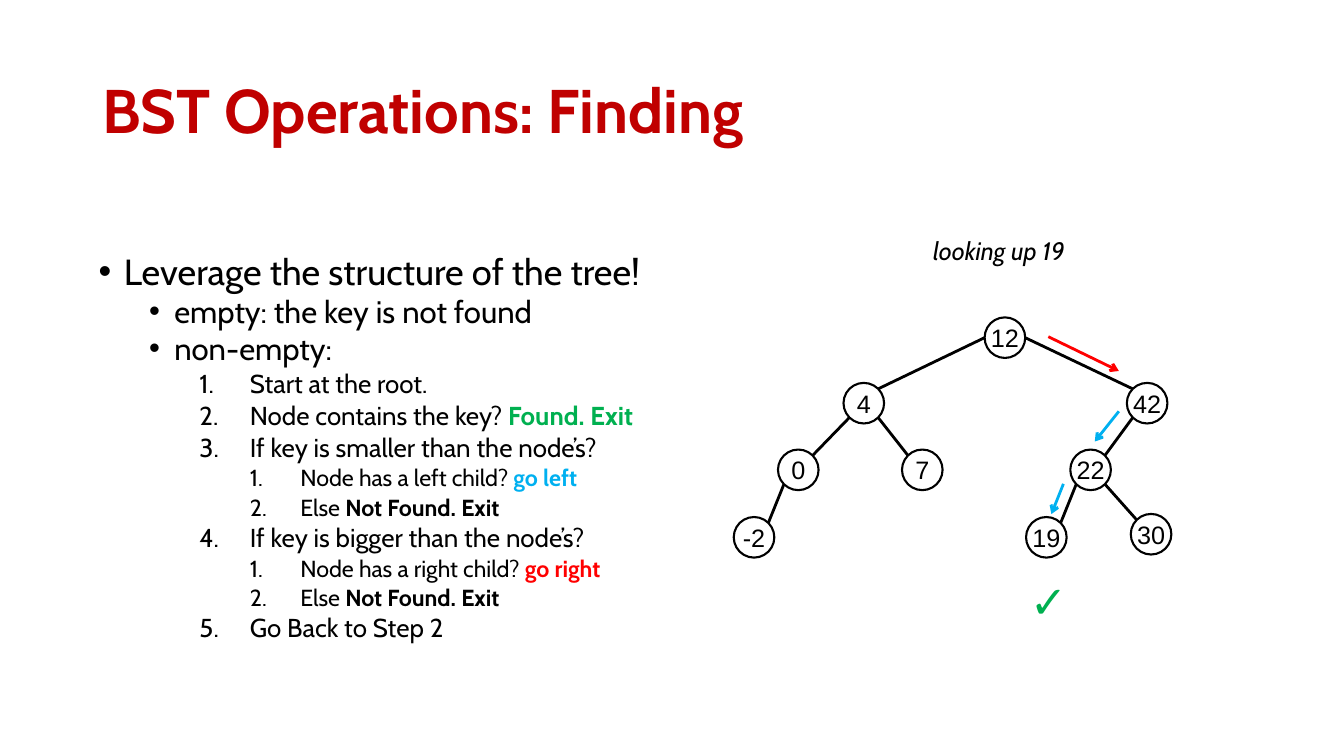
from lxml import etree
from pptx import Presentation
from pptx.dml.color import RGBColor
from pptx.enum.shapes import MSO_CONNECTOR, MSO_SHAPE
from pptx.enum.text import MSO_ANCHOR, PP_ALIGN
from pptx.oxml.ns import qn
from pptx.util import Pt

STRAIGHT = MSO_CONNECTOR.STRAIGHT
OVAL = MSO_SHAPE.OVAL
MIDDLE = MSO_ANCHOR.MIDDLE
CENTER = PP_ALIGN.CENTER
COLORS = {"title": "C00000", "black": "000000", "green": "00B050",
          "blue": "00B0F0", "red": "FF0000"}


def add_run(p, text, size=18, font="Cabin", color="black", bold=False, italic=False):
    r = p.add_run()
    r.text = text
    r.font.size = Pt(size)
    r.font.name = font
    r.font.bold = bold
    r.font.italic = italic
    r.font.color.rgb = RGBColor.from_string(COLORS[color])


def add_line(x1, y1, x2, y2, color="black", arrow=False):
    line = s.shapes.add_connector(STRAIGHT, Pt(x1), Pt(y1), Pt(x2), Pt(y2))
    line.line.width = Pt(2)
    line.line.color.rgb = RGBColor.from_string(COLORS[color])
    if arrow:
        etree.SubElement(line.line._get_or_add_ln(), qn("a:tailEnd"), type="arrow")
    etree.SubElement(line._element.spPr, qn("a:effectLst"))


prs = Presentation()
prs.slide_width, prs.slide_height = Pt(960), Pt(540)
s = prs.slides.add_slide(prs.slide_layouts[6])

# Title
tf = s.shapes.add_textbox(Pt(66), Pt(28.8), Pt(828), Pt(104.4)).text_frame
tf.word_wrap = True
tf.vertical_anchor = MIDDLE
p = tf.paragraphs[0]
p.line_spacing = 0.9
add_run(p, "BST Operations: Finding", size=44, color="title", bold=True)

# Algorithm outline: level, then (text, colour, bold) runs
not_found = (3, [("Else ", "black", False), ("Not Found. Exit", "black", True)])
outline = [
    (0, [("Leverage the structure of the tree!", "black", False)]),
    (1, [("empty: the key is not found", "black", False)]),
    (1, [("non-empty:", "black", False)]),
    (2, [("Start at the root.", "black", False)]),
    (2, [("Node contains the key? ", "black", False), ("Found. Exit", "green", True)]),
    (2, [("If key is smaller than the node’s?", "black", False)]),
    (3, [("Node has a left child? ", "black", False), ("go left", "blue", True)]),
    not_found,
    (2, [("If key is bigger than the node’s?", "black", False)]),
    (3, [("Node has a right child? ", "black", False), ("go right", "red", True)]),
    not_found,
    (2, [("Go Back to Step 2", "black", False)]),
]
# Size, left margin and hanging indent of each level
levels = [(25.9, 18, 18), (22.2, 54, 18), (18.5, 108, 36), (16.6, 144, 36)]

tf = s.shapes.add_textbox(Pt(63.4), Pt(180.7), Pt(462.2), Pt(295.2)).text_frame
tf.word_wrap = True
for i, (level, runs) in enumerate(outline):
    size, margin, hanging = levels[level]
    p = tf.add_paragraph() if i else tf.paragraphs[0]
    p.level = level
    p.line_spacing = 0.8
    p.space_before = Pt(5 if i else 0)
    pPr = p._p.get_or_add_pPr()
    pPr.set("marL", str(Pt(margin)))
    pPr.set("indent", str(-Pt(hanging)))
    if level < 2:
        etree.SubElement(pPr, qn("a:buFont"), typeface="Arial")
        etree.SubElement(pPr, qn("a:buChar"), char="•")
    else:
        etree.SubElement(pPr, qn("a:buAutoNum"), type="arabicPeriod")
    for text, color, bold in runs:
        add_run(p, text, size=size, color=color, bold=bold)

# Tree: centre of each node, then parent and child pairs
RADIUS = 14.5
DIAGONAL = 10.2
nodes = {"12": (717.8, 241.2), "4": (617, 288), "42": (819.4, 288),
         "0": (570.2, 335.6), "7": (658.8, 335.6), "22": (779, 335.6),
         "-2": (538.6, 383.8), "19": (747.4, 383.8), "30": (822.2, 381.6)}
edges = [("12", "4"), ("12", "42"), ("4", "0"), ("4", "7"), ("0", "-2"),
         ("42", "22"), ("22", "19"), ("22", "30")]

for parent, child in edges:
    (x1, y1), (x2, y2) = nodes[parent], nodes[child]
    side = 1 if x2 > x1 else -1
    # The root's edges leave from its sides, all others from its diagonals
    dx, dy = (RADIUS, 0) if parent == "12" else (DIAGONAL, DIAGONAL)
    add_line(x1 + side * dx, y1 + dy, x2 - side * DIAGONAL, y2 - DIAGONAL)

for key, (x, y) in nodes.items():
    sp = s.shapes.add_shape(OVAL, Pt(x - RADIUS), Pt(y - RADIUS),
                            Pt(2 * RADIUS), Pt(2 * RADIUS))
    sp.shadow.inherit = False
    sp.fill.background()
    sp.line.width = Pt(1.5)
    sp.line.color.rgb = RGBColor.from_string(COLORS["black"])
    tf = sp.text_frame
    tf.word_wrap = False
    tf.vertical_anchor = MIDDLE
    tf.margin_left = tf.margin_right = 0
    tf.margin_top = tf.margin_bottom = Pt(4.3)
    p = tf.paragraphs[0]
    p.alignment = CENTER
    add_run(p, key, font="Arial")

# Search path arrows
add_line(748.8, 240.5, 799.2, 265, color="red", arrow=True)
add_line(799.2, 293.8, 782, 315.4, color="blue", arrow=True)
add_line(759.6, 345.6, 751, 367.2, color="blue", arrow=True)

# Caption and check mark
labels = [
    ("looking up 19", 659.5, 164.9, 122.4, 28.8, {"italic": True}),
    ("✓", 728.6, 406.1, 39.6, 46.1, {"size": 32, "color": "green"}),
]
for text, x, y, w, h, style in labels:
    tf = s.shapes.add_textbox(Pt(x), Pt(y), Pt(w), Pt(h)).text_frame
    tf.word_wrap = False
    add_run(tf.paragraphs[0], text, **style)

prs.save("out.pptx")
